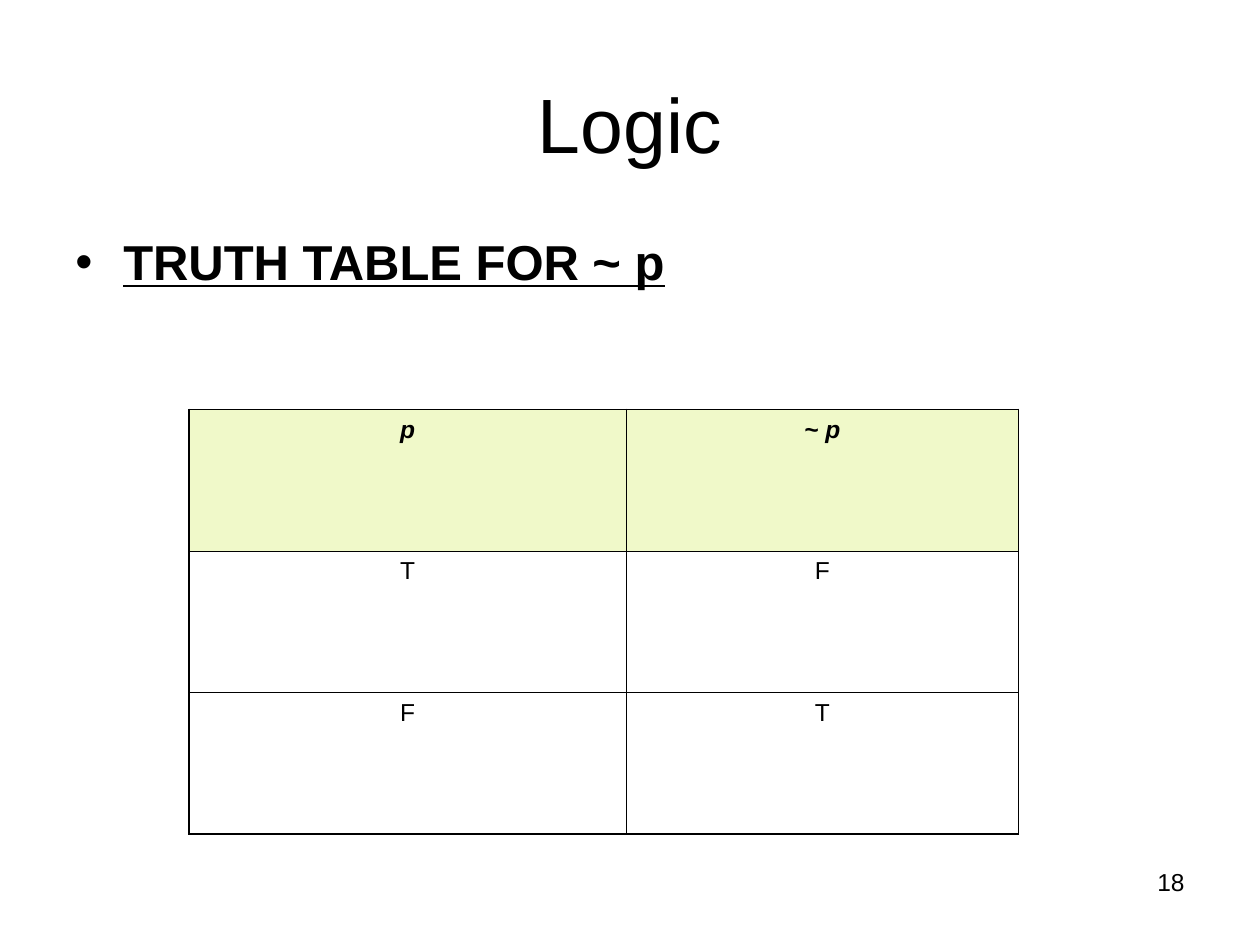
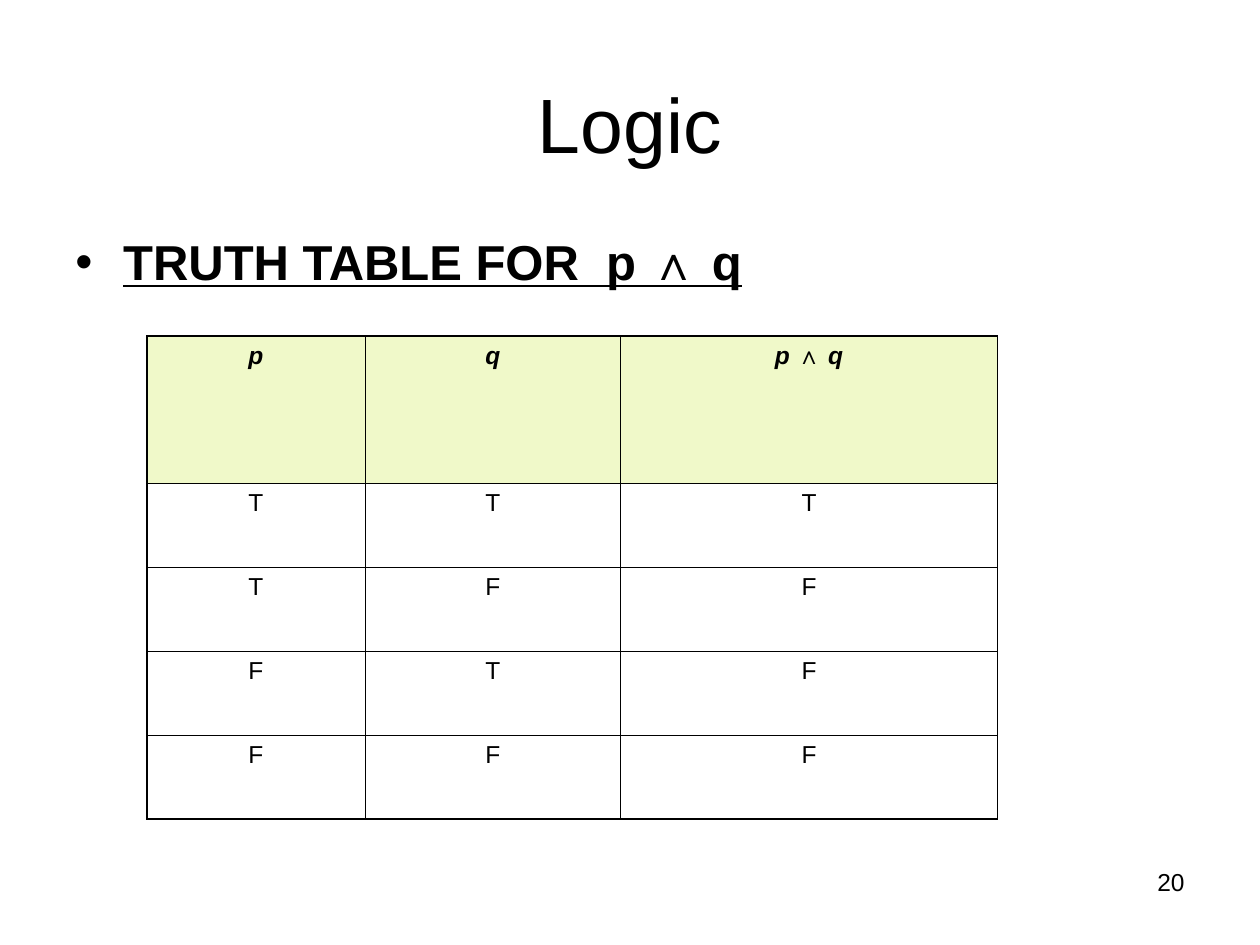
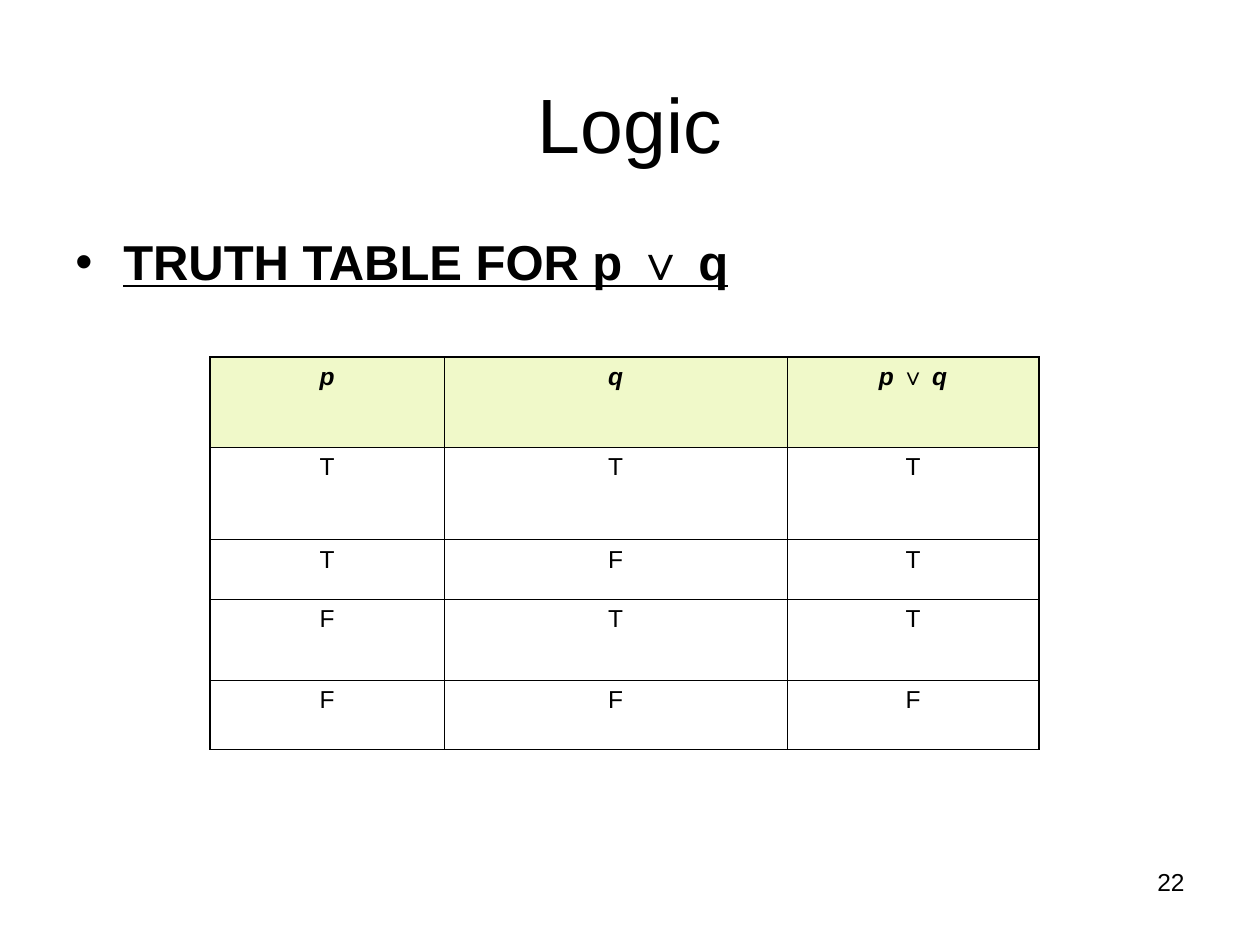
"""Build three slides of truth tables for negation, conjunction and disjunction."""
from dataclasses import dataclass
from itertools import groupby

from pptx import Presentation
from pptx import util as u
from pptx.dml.color import RGBColor
from pptx.enum import text
from pptx.oxml import parse_xml
from pptx.oxml.ns import nsdecls

COLUMNS, ROWS = 120, 90
CELL = u.Inches(1) / 12
FONT = "Arial"
INK, HEADER_FILL = "000000", "F0F9C9"
OUTER_LINE, INNER_LINE = 1.08, 0.45
OPERATORS = "∧∨"
ALIGN = text.PP_ALIGN


@dataclass(frozen=True)
class Area:
    column: float
    row: float
    columns: float
    rows: float


@dataclass(frozen=True)
class Style:
    size: float
    bold: bool = False
    italic: bool = False
    underline: bool = False
    align: ALIGN = ALIGN.LEFT
    anchor: text.MSO_ANCHOR = text.MSO_ANCHOR.TOP
    top: float = 0.05
    bottom: float = 0.05
    bullet: bool = False


@dataclass(frozen=True)
class TruthTable:
    column: float
    row: float
    widths: tuple[float, ...]
    heights: tuple[float, ...]
    header: tuple[str, ...]
    values: tuple[str, ...]


@dataclass(frozen=True)
class Page:
    number: int
    heading: str
    heading_area: Area
    table: TruthTable


TITLE_AREA = Area(6, 3.6, 108, 15)
NUMBER_AREA = Area(86, 82, 28, 6.25)
TITLE = Style(44, align=ALIGN.CENTER, anchor=text.MSO_ANCHOR.MIDDLE, top=0.1, bottom=0)
HEADING = Style(28, bold=True, underline=True, top=0.09, bullet=True)
NUMBER = Style(14, align=ALIGN.RIGHT)
HEADER = Style(14, bold=True, italic=True, align=ALIGN.CENTER)
VALUE = Style(14, align=ALIGN.CENTER)

PAGES = (
    Page(18, "TRUTH TABLE FOR ~ p", Area(6, 21, 105, 10),
         TruthTable(18, 39, (41.64, 37.36), (13.48,) * 3,
                    ("p", "~ p"), ("TF", "FT"))),
    Page(20, "TRUTH TABLE FOR  p ∧ q", Area(6, 21, 108, 9),
         TruthTable(14, 32, (20.76, 24.36, 35.88), (14,) + (8,) * 4,
                    ("p", "q", "p ∧ q"), ("TTT", "TFF", "FTF", "FFF"))),
    Page(22, "TRUTH TABLE FOR p ∨ q", Area(6, 21, 105, 9),
         TruthTable(20, 34, (22.32, 32.64, 24), (8.6, 8.8, 5.68, 7.72, 6.6),
                    ("p", "q", "p ∨ q"), ("TTT", "TFT", "FTT", "FFF"))),
)


def color(value: str) -> RGBColor:
    return RGBColor.from_string(value)


def length(units: float) -> u.Emu:
    return u.Emu(round(units * CELL))


def place(area: Area) -> tuple[u.Emu, ...]:
    return tuple(map(length, (area.column, area.row, area.columns, area.rows)))


def write(para, words: str, style: Style) -> None:
    para.alignment = style.align
    for is_operator, letters in groupby(words, lambda letter: letter in OPERATORS):
        span = para.add_run()
        span.text = "".join(letters)
        font = span.font
        font.name, font.size = FONT, u.Pt(style.size)
        font.bold, font.underline = style.bold, style.underline
        font.italic = style.italic and not is_operator
        font.color.rgb = color(INK)


def add_bullet(para) -> None:
    properties = para._p.get_or_add_pPr()
    properties.set("marL", str(u.Inches(0.38)))
    properties.set("indent", str(-u.Inches(0.38)))
    for markup in (f'<a:buClr {nsdecls("a")}><a:srgbClr val="{INK}"/></a:buClr>',
                   f'<a:buFont {nsdecls("a")} typeface="{FONT}"/>',
                   f'<a:buChar {nsdecls("a")} char="•"/>'):
        properties.append(parse_xml(markup))


def add_text(page, words: str, area: Area, style: Style) -> None:
    frame = page.shapes.add_textbox(*place(area)).text_frame
    frame.word_wrap = True
    frame.vertical_anchor = style.anchor
    frame.margin_top, frame.margin_bottom = u.Inches(style.top), u.Inches(style.bottom)
    para = frame.paragraphs[0]
    if style.bullet:
        add_bullet(para)
    write(para, words, style)


def add_borders(cell, outer_sides: dict[str, bool]) -> None:
    properties = cell._tc.get_or_add_tcPr()
    for side, is_outer in outer_sides.items():
        width = u.Pt(OUTER_LINE if is_outer else INNER_LINE)
        properties.append(parse_xml(
            f'<a:ln{side} {nsdecls("a")} w="{width}"><a:solidFill>'
            f'<a:srgbClr val="{INK}"/></a:solidFill></a:ln{side}>'))


def add_truth_table(page, truth: TruthTable) -> None:
    area = Area(truth.column, truth.row, sum(truth.widths), sum(truth.heights))
    lines = (truth.header, *truth.values)
    last_row, last_column = len(lines) - 1, len(truth.header) - 1
    table = page.shapes.add_table(len(lines), len(truth.header), *place(area)).table
    table.first_row = table.horz_banding = False
    for column, width in zip(table.columns, truth.widths):
        column.width = length(width)
    for row, height in zip(table.rows, truth.heights):
        row.height = length(height)
    for r, line in enumerate(lines):
        for c, words in enumerate(line):
            cell = table.cell(r, c)
            add_borders(cell, {"L": c == 0, "R": c == last_column,
                               "T": r == 0, "B": r == last_row})
            if r == 0:
                cell.fill.solid()
                cell.fill.fore_color.rgb = color(HEADER_FILL)
            else:
                cell.fill.background()
            write(cell.text_frame.paragraphs[0], words, VALUE if r else HEADER)


def main() -> None:
    deck = Presentation()
    deck.slide_width, deck.slide_height = length(COLUMNS), length(ROWS)
    for content in PAGES:
        page = deck.slides.add_slide(deck.slide_layouts[6])
        add_text(page, str(content.number), NUMBER_AREA, NUMBER)
        add_text(page, "Logic", TITLE_AREA, TITLE)
        add_text(page, content.heading, content.heading_area, HEADING)
        add_truth_table(page, content.table)
    deck.save("out.pptx")


if __name__ == "__main__":
    main()
